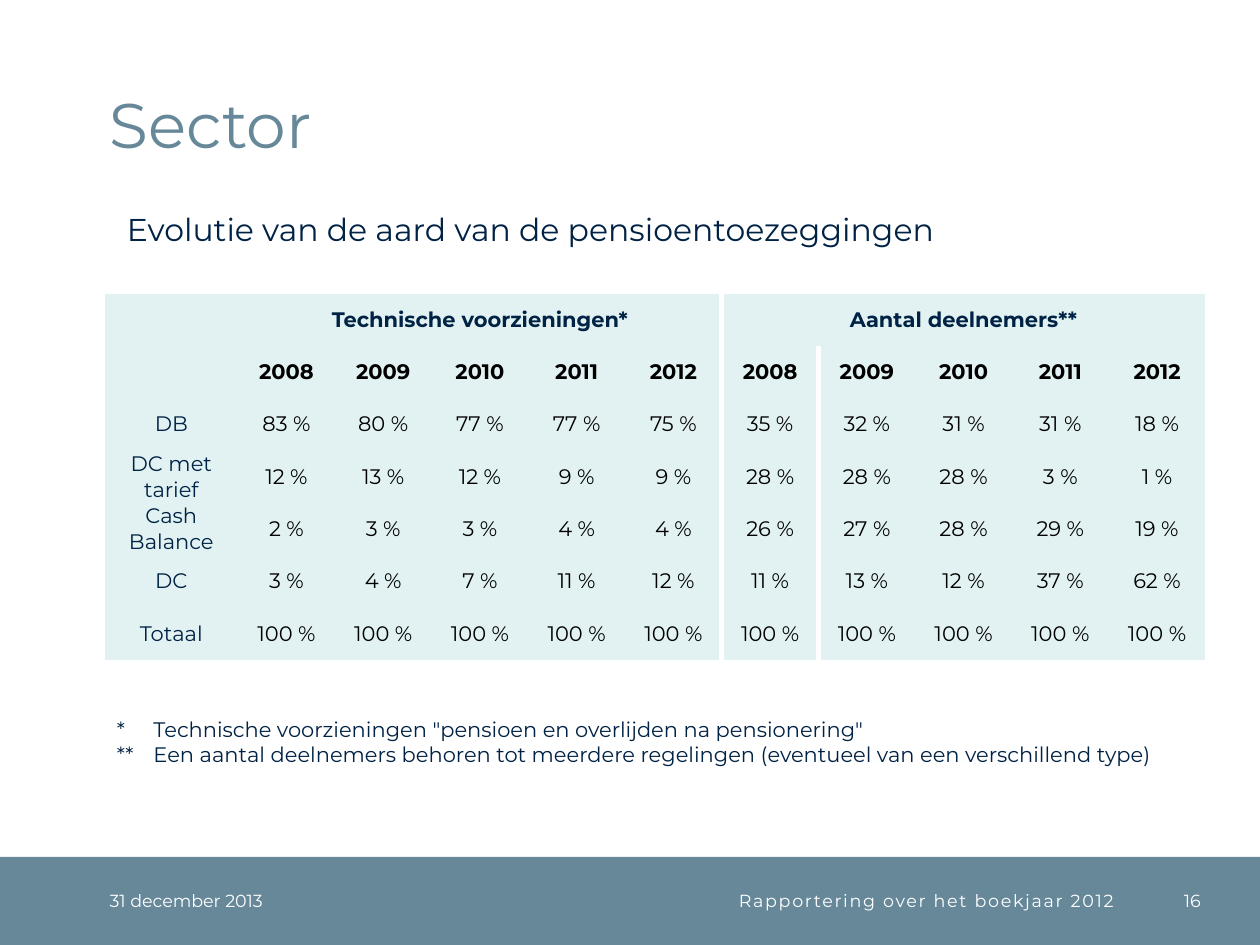
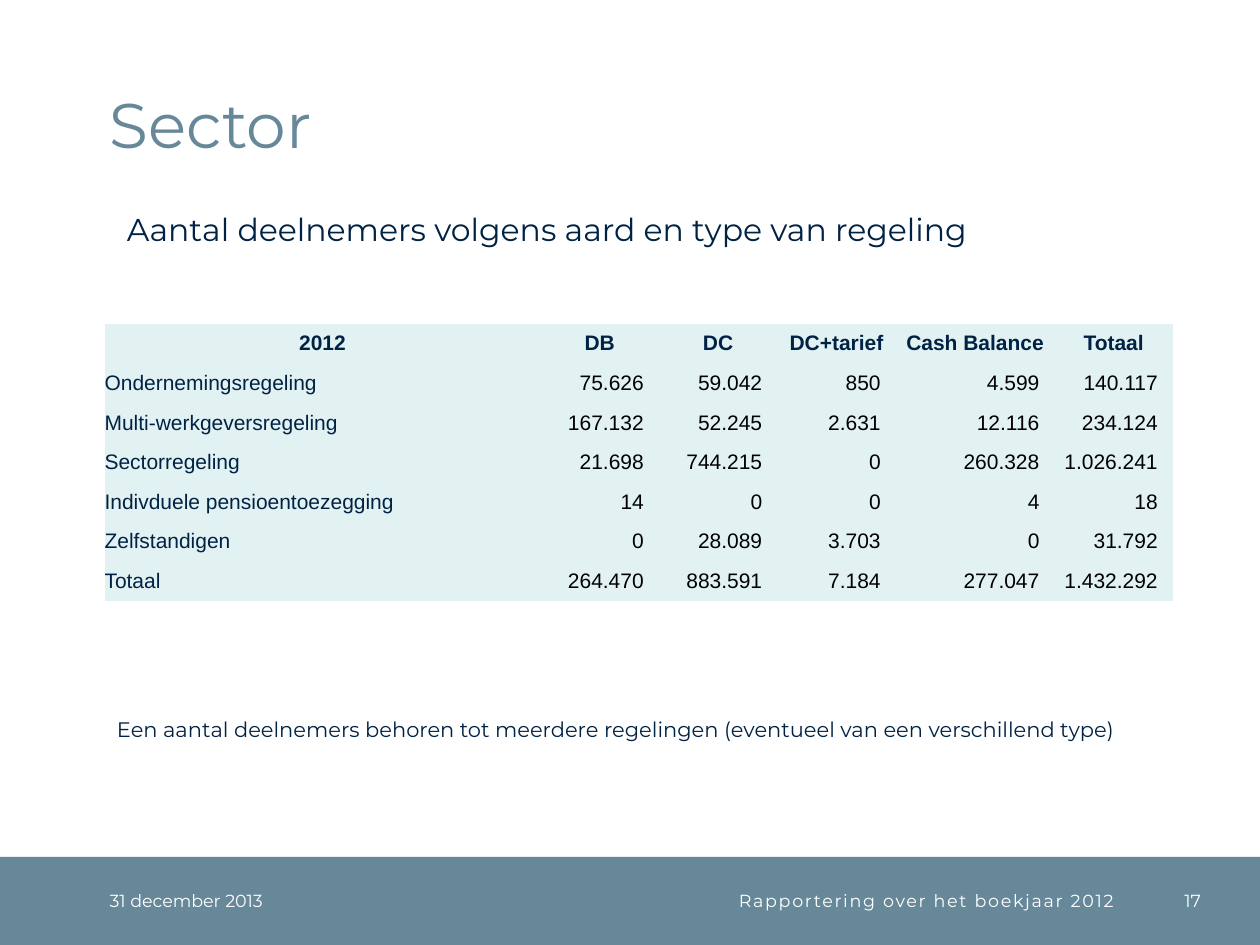
from collections.abc import Sequence
from dataclasses import dataclass

from lxml.etree import SubElement
from pptx import Presentation
from pptx.dml.color import RGBColor
from pptx.enum.shapes import MSO_SHAPE
from pptx.enum.text import MSO_ANCHOR, MSO_AUTO_SIZE, PP_ALIGN
from pptx.oxml.ns import qn
from pptx.slide import Slide
from pptx.table import Table, _Cell
from pptx.text.text import TextFrame
from pptx.util import Inches, Pt


@dataclass(frozen=True)
class Theme:
    slate: RGBColor = RGBColor(0x66, 0x88, 0x99)
    navy: RGBColor = RGBColor(0x00, 0x22, 0x44)
    mint: RGBColor = RGBColor(0xE2, 0xF2, 0xF2)
    white: RGBColor = RGBColor(0xFF, 0xFF, 0xFF)
    black: RGBColor = RGBColor(0x00, 0x00, 0x00)
    font: str = "Montserrat"
    figures_font: str = "Arial"
    title_size: float = 36
    subtitle_size: float = 18
    text_size: float = 12
    footer_size: float = 10


THEME = Theme()
NO_STYLE_NO_GRID = "{2D5ABB26-0587-4C30-8999-92F81FD0307C}"


@dataclass(frozen=True)
class Box:
    left: float
    top: float
    width: float
    height: float

    def lengths(self) -> tuple[int, int, int, int]:
        return Inches(self.left), Inches(self.top), Inches(self.width), Inches(self.height)


@dataclass(frozen=True)
class FooterPart:
    text: str
    box: Box
    align: PP_ALIGN
    spacing: float = 0


BAND = Box(0, 6.8, 10, 0.7)
TITLE = Box(0.87, 0.2, 8.63, 1.08)
SUBTITLE = Box(0.91, 1.62, 8.43, 0.4)


def write_text(frame: TextFrame, *paragraphs: str, size: float = THEME.text_size,
               color: RGBColor = THEME.navy, font: str = THEME.font, bold: bool = False,
               align: PP_ALIGN = PP_ALIGN.LEFT, line_spacing: float | None = None,
               spacing: float = 0, hanging: float = 0) -> None:
    """Fill a frame; spacing is between letters in points, hanging an indent in inches."""
    for index, text in enumerate(paragraphs):
        paragraph = frame.paragraphs[0] if index == 0 else frame.add_paragraph()
        paragraph.alignment = align
        if line_spacing:
            paragraph.line_spacing = Pt(line_spacing)
        if hanging:
            properties = paragraph._p.get_or_add_pPr()
            properties.set("marL", str(Inches(hanging)))
            properties.set("indent", str(-Inches(hanging)))
        run = paragraph.add_run()
        run.text = text
        run.font.size, run.font.name, run.font.bold = Pt(size), font, bold
        run.font.color.rgb = color
        if spacing:
            run.font._element.set("spc", str(round(spacing * 100)))


def clear_margins(part: TextFrame | _Cell) -> None:
    part.margin_left = part.margin_top = part.margin_right = part.margin_bottom = 0


def add_text(slide: Slide, box: Box, *paragraphs: str, inset: bool = True, **text_format) -> None:
    frame = slide.shapes.add_textbox(*box.lengths()).text_frame
    frame.word_wrap = True
    if not inset:
        clear_margins(frame)
        frame.vertical_anchor = MSO_ANCHOR.MIDDLE
    write_text(frame, *paragraphs, **text_format)


def add_footer(slide: Slide, number: int) -> None:
    band = slide.shapes.add_shape(MSO_SHAPE.RECTANGLE, *BAND.lengths())
    band.shadow.inherit = False
    band.fill.solid()
    band.fill.fore_color.rgb = THEME.slate
    band.line.fill.background()
    parts = (
        FooterPart("31 december 2013", Box(0.87, BAND.top, 1.77, BAND.height), PP_ALIGN.LEFT),
        FooterPart("Rapportering over het boekjaar 2012",
                   Box(2.64, BAND.top, 6.2, BAND.height), PP_ALIGN.RIGHT, spacing=1),
        FooterPart(str(number), Box(9.04, BAND.top, 0.49, BAND.height), PP_ALIGN.RIGHT),
    )
    for part in parts:
        add_text(slide, part.box, part.text, inset=False, size=THEME.footer_size,
                 color=THEME.white, align=part.align, spacing=part.spacing)


def add_sector_slide(presentation: Presentation, number: int, subtitle: str) -> Slide:
    slide = presentation.slides.add_slide(presentation.slide_layouts[5])
    add_footer(slide, number)
    title = slide.shapes.title
    title.left, title.top, title.width, title.height = TITLE.lengths()
    frame = title.text_frame
    clear_margins(frame)
    frame.auto_size = MSO_AUTO_SIZE.NONE
    frame.vertical_anchor = MSO_ANCHOR.BOTTOM
    write_text(frame, "Sector", size=THEME.title_size, color=THEME.slate, line_spacing=32)
    add_text(slide, SUBTITLE, subtitle, size=THEME.subtitle_size)
    return slide


def add_plain_table(slide: Slide, box: Box, row_count: int, widths: Sequence[float]) -> Table:
    frame = slide.shapes.add_table(row_count, len(widths), *box.lengths())
    for style in frame._element.iter(qn("a:tableStyleId")):
        style.text = NO_STYLE_NO_GRID
    table = frame.table
    table.first_row = table.horz_banding = False
    for column, width in zip(table.columns, widths):
        column.width = Inches(width)
    for row in table.rows:
        row.height = Inches(box.height / row_count)
        for cell in row.cells:
            cell.fill.solid()
            cell.fill.fore_color.rgb = THEME.mint
            clear_margins(cell)
            cell.vertical_anchor = MSO_ANCHOR.MIDDLE
    return table


def add_divider(cell: _Cell, side: str) -> None:
    """Draw a white border on the cell's side, L or R."""
    properties = cell._tc.get_or_add_tcPr()
    border = SubElement(properties, qn(f"a:ln{side}"), w=str(Pt(3)))
    fill = SubElement(border, qn("a:solidFill"))
    SubElement(fill, qn("a:srgbClr"), val=str(THEME.white))
    properties.insert(0, border)


def add_evolution_table(slide: Slide) -> None:
    years = [str(year) for year in range(2008, 2013)]
    groups = ("Technische voorzieningen*", "Aantal deelnemers**")
    shares = (
        ("DB", (83, 80, 77, 77, 75, 35, 32, 31, 31, 18)),
        ("DC met tarief", (12, 13, 12, 9, 9, 28, 28, 28, 3, 1)),
        ("Cash Balance", (2, 3, 3, 4, 4, 26, 27, 28, 29, 19)),
        ("DC", (3, 4, 7, 11, 12, 11, 13, 12, 37, 62)),
        ("Totaal", (100,) * 10),
    )
    box = Box(0.83, 2.33, 8.74, 2.91)
    label_width = 1.06
    year_columns = len(groups) * len(years)
    year_width = (box.width - label_width) / year_columns
    table = add_plain_table(slide, box, 2 + len(shares),
                            [label_width] + [year_width] * year_columns)
    second_group = 1 + len(years)
    for row in range(len(table.rows)):
        add_divider(table.cell(row, second_group - 1), "R")
        add_divider(table.cell(row, second_group), "L")
    add_divider(table.cell(0, 1), "R")

    table.cell(0, 0).merge(table.cell(1, 0))
    for index, group in enumerate(groups):
        first = 1 + index * len(years)
        heading = table.cell(0, first)
        heading.merge(table.cell(0, first + len(years) - 1))
        write_text(heading.text_frame, group, bold=True, align=PP_ALIGN.CENTER)
    for column, year in enumerate(years * len(groups), start=1):
        write_text(table.cell(1, column).text_frame, year, color=THEME.black,
                   bold=True, align=PP_ALIGN.CENTER)
    for row, (label, values) in enumerate(shares, start=2):
        write_text(table.cell(row, 0).text_frame, label, align=PP_ALIGN.CENTER)
        for column, value in enumerate(values, start=1):
            write_text(table.cell(row, column).text_frame, f"{value} %",
                       color=THEME.black, align=PP_ALIGN.CENTER)


def add_members_table(slide: Slide) -> None:
    headings = ("2012", "DB", "DC", "DC+tarief", "Cash Balance", "Totaal")
    members = (
        ("Ondernemingsregeling", (75626, 59042, 850, 4599, 140117)),
        ("Multi-werkgeversregeling", (167132, 52245, 2631, 12116, 234124)),
        ("Sectorregeling", (21698, 744215, 0, 260328, 1026241)),
        ("Indivduele pensioentoezegging", (14, 0, 0, 4, 18)),
        ("Zelfstandigen", (0, 28089, 3703, 0, 31792)),
        ("Totaal", (264470, 883591, 7184, 277047, 1432292)),
    )
    table = add_plain_table(slide, Box(0.83, 2.57, 8.5, 2.2), 1 + len(members),
                            (3.46, 0.94, 0.94, 0.94, 1.26, 0.94))
    for column, heading in enumerate(headings):
        write_text(table.cell(0, column).text_frame, heading, font=THEME.figures_font,
                   bold=True, align=PP_ALIGN.CENTER)
    for row, (scheme, counts) in enumerate(members, start=1):
        write_text(table.cell(row, 0).text_frame, scheme, font=THEME.figures_font)
        for column, count in enumerate(counts, start=1):
            cell = table.cell(row, column)
            cell.margin_right = Inches(0.12)
            write_text(cell.text_frame, f"{count:,}".replace(",", "."), color=THEME.black,
                       font=THEME.figures_font, align=PP_ALIGN.RIGHT)


def main() -> None:
    presentation = Presentation()
    presentation.slide_width, presentation.slide_height = Inches(10), Inches(7.5)
    overlap_note = ("Een aantal deelnemers behoren tot meerdere regelingen "
                    "(eventueel van een verschillend type)")

    evolution = add_sector_slide(presentation, 16,
                                 "Evolutie van de aard van de pensioentoezeggingen")
    add_evolution_table(evolution)
    add_text(evolution, Box(0.83, 5.64, 8.74, 0.5),
             '*\tTechnische voorzieningen "pensioen en overlijden na pensionering"',
             f"**\t{overlap_note}", hanging=0.29)

    members = add_sector_slide(presentation, 17,
                               "Aantal deelnemers volgens aard en type van regeling")
    add_members_table(members)
    add_text(members, Box(0.83, 5.64, 8.74, 0.3), overlap_note)

    presentation.save("out.pptx")


if __name__ == "__main__":
    main()
